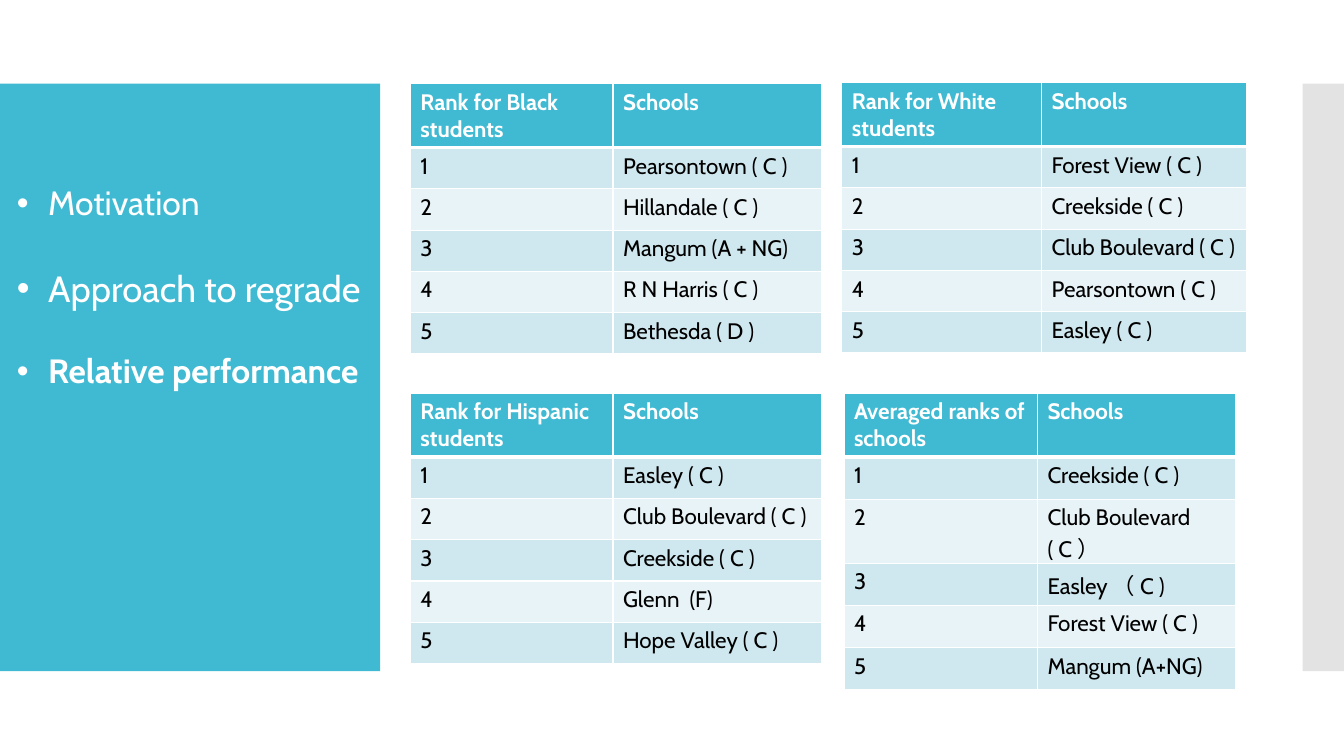
import pptx
import pptx.util
import pptx.dml.color
import pptx.enum.shapes
import pptx.oxml.ns
import lxml.etree

Inches = pptx.util.Inches
Pt = pptx.util.Pt
qn = pptx.oxml.ns.qn

COLORS = {"teal": "40BAD2", "gray": "C8C8C8", "white": "FFFFFF", "black": "000000",
          "band_dark": "CFE7EE", "band_light": "E8F3F7"}
FONT = "Cabin"


def format_font(font, color, **values):
    """Apply the slide font, a named colour and any other font values."""
    font.color.rgb = pptx.dml.color.RGBColor.from_string(COLORS[color])
    for name, value in {"name": FONT, **values}.items():
        setattr(font, name, value)


def add_border(cell, side, points):
    """Draw a white line on one side of a table cell."""
    properties = cell._tc.get_or_add_tcPr()
    line = lxml.etree.SubElement(properties, qn("a:ln" + side), w=str(Pt(points)))
    fill = lxml.etree.SubElement(line, qn("a:solidFill"))
    lxml.etree.SubElement(fill, qn("a:srgbClr"), val=COLORS["white"])


deck = pptx.Presentation()
deck.slide_width, deck.slide_height = Inches(13.33), Inches(7.5)
page = deck.slides.add_slide(deck.slide_layouts[6])

# Side panels
for left, width, color, opacity in [(0, 3.77, "teal", 100), (12.92, 0.41, "gray", 50)]:
    panel = page.shapes.add_shape(pptx.enum.shapes.MSO_SHAPE.RECTANGLE,
                                  Inches(left), Inches(0.83), Inches(width), Inches(5.83))
    panel.shadow.inherit = False
    panel.line.fill.background()
    panel.fill.solid()
    panel.fill.fore_color.rgb = pptx.dml.color.RGBColor.from_string(COLORS[color])
    if opacity < 100:
        tint = panel._element.spPr.find(".//" + qn("a:srgbClr"))
        lxml.etree.SubElement(tint, qn("a:alpha"), val=str(opacity * 1000))

# Agenda
agenda = page.shapes.add_textbox(Inches(0.07), Inches(1.36), Inches(4.01), Inches(3.29))
agenda.text_frame.word_wrap = True
topics = [("Motivation", 24, False), ("Approach to regrade", 26, False),
          ("Relative performance", 24, True)]
agenda.text_frame.text = "\n".join(topic for topic, size, bold in topics)
for para, (topic, size, bold) in zip(agenda.text_frame.paragraphs, topics):
    para.line_spacing = 2.0
    format_font(para.runs[0].font, "white", size=Pt(size), bold=bold)
    properties = para._p.get_or_add_pPr()
    properties.set("marL", str(Inches(0.31)))
    properties.set("indent", str(-Inches(0.31)))
    lxml.etree.SubElement(properties, qn("a:buFont"), typeface="Arial")
    lxml.etree.SubElement(properties, qn("a:buChar"), char="•")

# Rankings: left, top, column widths, row height, heading, schools in rank order
rankings = [
    (4.07, 0.83, (2.01, 2.07), 0.41, "Rank for Black students",
     ["Pearsontown ( C )", "Hillandale ( C )", "Mangum (A + NG)", "R N Harris ( C )",
      "Bethesda ( D )"]),
    (8.35, 0.82, (1.98, 2.03), 0.41, "Rank for White students",
     ["Forest View ( C )", "Creekside ( C )", "Club Boulevard ( C )", "Pearsontown ( C )",
      "Easley ( C )"]),
    (4.07, 3.9, (2.01, 2.07), 0.41, "Rank for Hispanic\nstudents",
     ["Easley ( C )", "Club Boulevard ( C )", "Creekside ( C )", "Glenn  (F)",
      "Hope Valley ( C )"]),
    (8.37, 3.9, (1.92, 1.97), 0.42, "Averaged ranks of schools",
     ["Creekside ( C )", "Club Boulevard ( C ）", "Easley （ C )", "Forest View ( C )",
      "Mangum (A+NG)"]),
]
HEADER_HEIGHT = 0.61
for left, top, widths, row_height, heading, schools in rankings:
    rows = [(heading, "Schools")]
    rows += [(str(rank), school) for rank, school in enumerate(schools, 1)]
    height = HEADER_HEIGHT + row_height * len(schools)
    table = page.shapes.add_table(len(rows), 2, Inches(left), Inches(top),
                                  Inches(sum(widths)), Inches(height)).table
    for column, width in zip(table.columns, widths):
        column.width = Inches(width)
    for index, texts in enumerate(rows):
        header = index == 0
        table.rows[index].height = Inches(HEADER_HEIGHT if header else row_height)
        band = "teal" if header else ("band_light", "band_dark")[index % 2]
        borders = {"L": 1, "R": 1, "T": 3 if index == 1 else 1, "B": 3 if header else 1}
        for cell, text in zip(table.rows[index].cells, texts):
            cell.text = text
            for side, points in borders.items():
                add_border(cell, side, points)
            cell.fill.solid()
            cell.fill.fore_color.rgb = pptx.dml.color.RGBColor.from_string(COLORS[band])
            for para in cell.text_frame.paragraphs:
                format_font(para.runs[0].font, "white" if header else "black",
                            size=Pt(16), bold=header)

deck.save("out.pptx")
